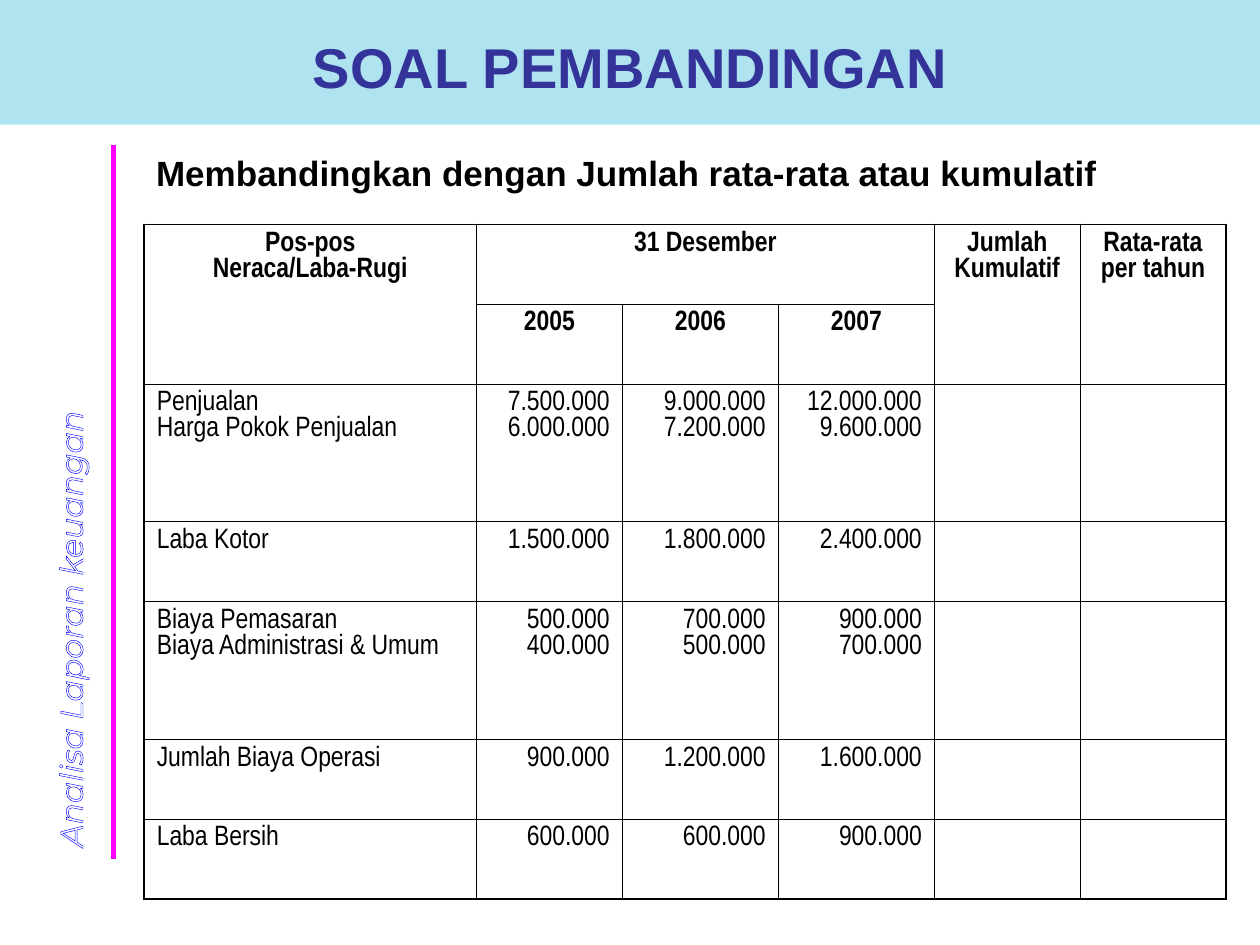
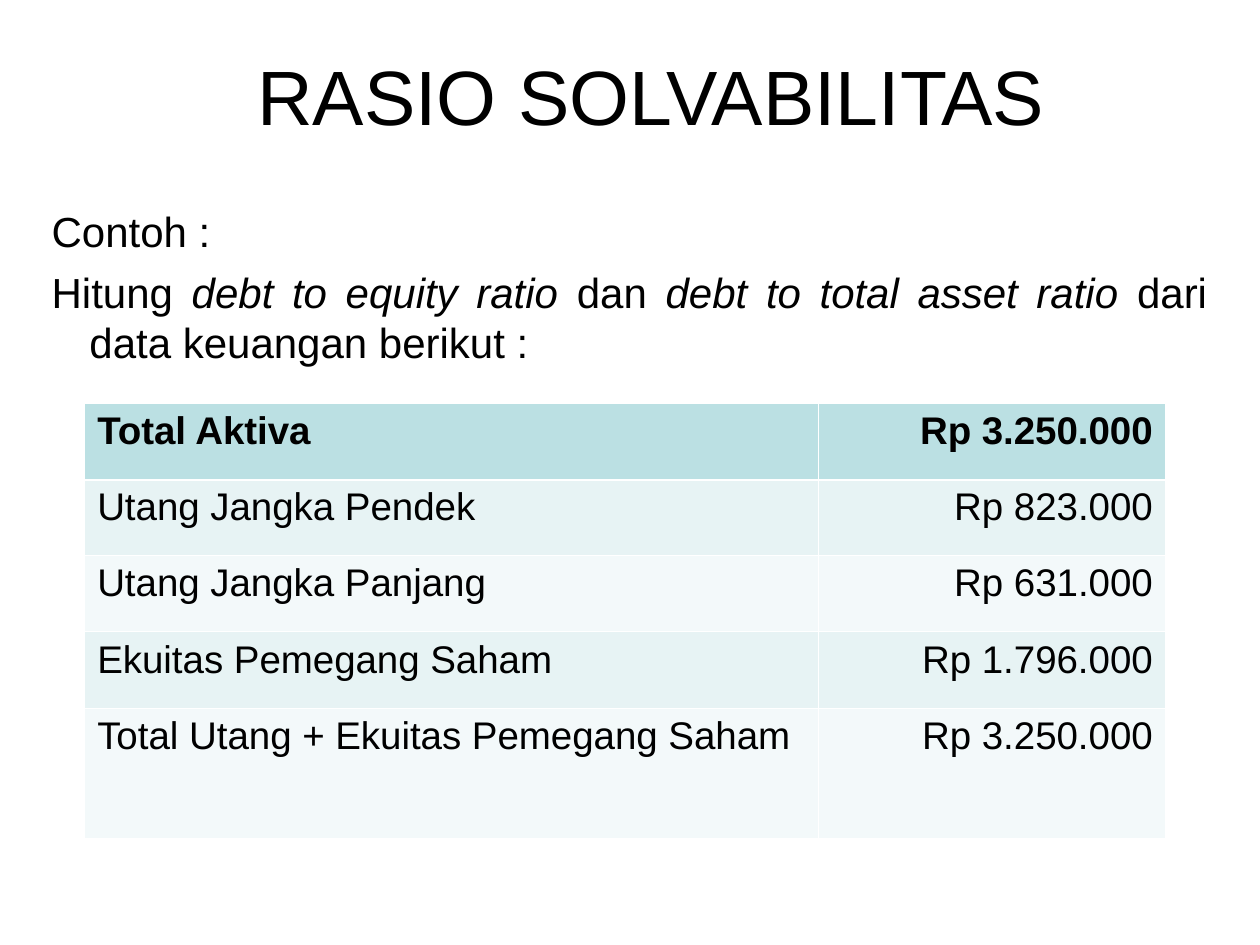
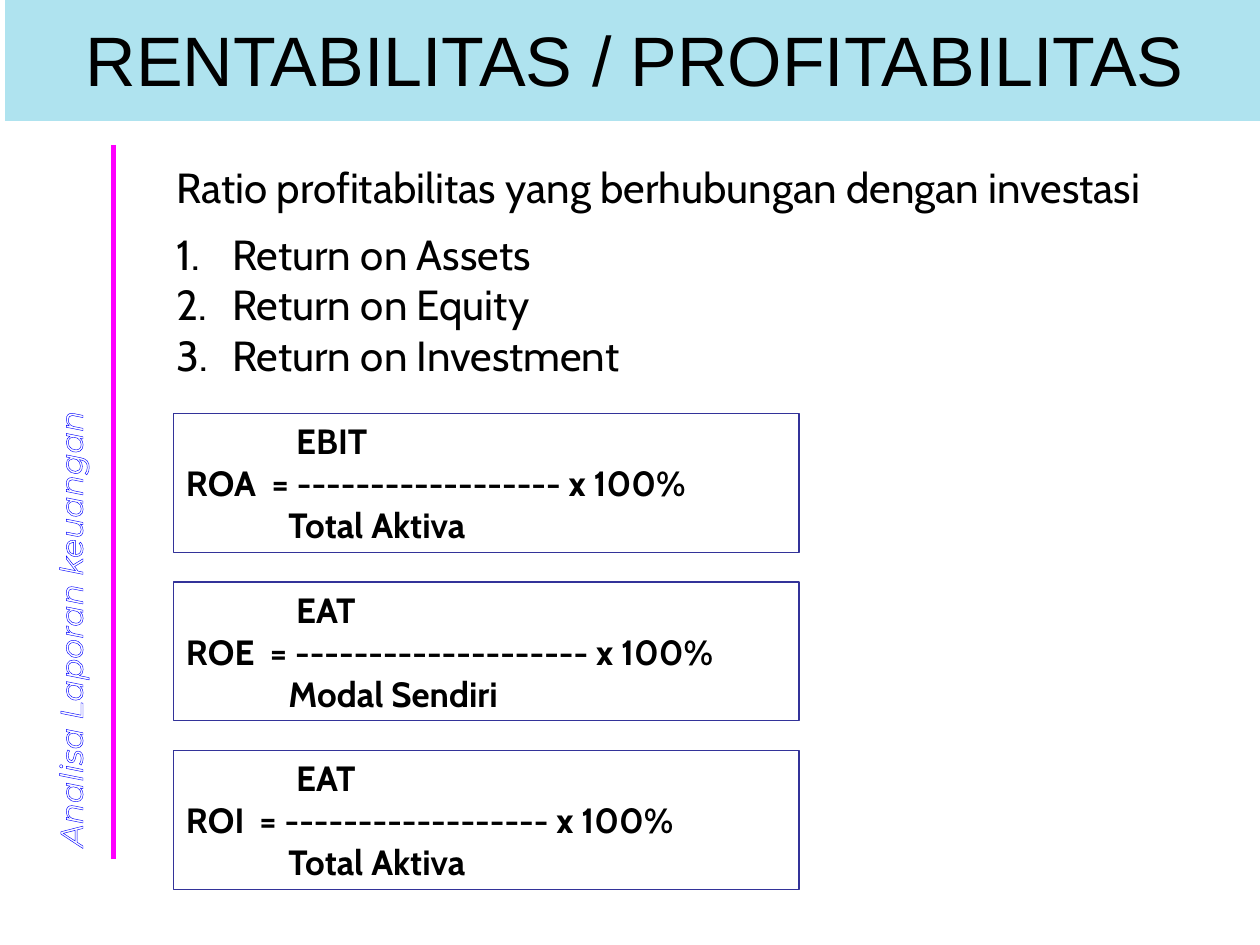
from lxml.etree import SubElement
from pptx import Presentation
from pptx.dml.color import RGBColor
from pptx.enum.shapes import MSO_CONNECTOR as Connector, MSO_SHAPE as Shape
from pptx.enum.text import MSO_ANCHOR as Anchor, MSO_AUTO_SIZE as AutoSize, PP_ALIGN as Align
from pptx.oxml.ns import qn
from pptx.util import Pt

BLACK = RGBColor(0x00, 0x00, 0x00)
WHITE = RGBColor(0xFF, 0xFF, 0xFF)
INDIGO = RGBColor(0x33, 0x33, 0x99)
BLUE = RGBColor(0x00, 0x00, 0xFF)
MAGENTA = RGBColor(0xFF, 0x00, 0xFF)
BAND_BLUE = RGBColor(0xAF, 0xE3, 0xEF)
HEADER_TEAL = RGBColor(0xBB, 0xE0, 0xE3)
ROW_TEAL = RGBColor(0xE7, 0xF3, 0xF4)
ROW_PALE = RGBColor(0xF3, 0xF9, 0xFA)

TITLE_ONLY, TITLE_AND_BODY = 5, 1
BAND_HEIGHT = 71.28


def write(frame, text, font="Arial", size=24, color=BLACK, bold=False, align=Align.LEFT,
          anchor=Anchor.TOP, wrap=True, before=0):
    frame.auto_size = AutoSize.NONE
    frame.word_wrap = wrap
    frame.vertical_anchor = anchor
    lines = text.split("\n")
    for index, line in enumerate(lines):
        para = frame.paragraphs[0] if index == 0 else frame.add_paragraph()
        para.alignment = align
        para.space_before = Pt(before)
        for position, part in enumerate(line.split("*")):
            if not part:
                continue
            span = para.add_run()
            span.text = part
            span.font.name = font
            span.font.size = Pt(size)
            span.font.color.rgb = color
            span.font.bold = bold
            span.font.italic = position % 2 == 1
    return frame.paragraphs


def indent(para, left, first, bullet=None, **bullet_format):
    properties = para._p.get_or_add_pPr()
    properties.set("marL", str(Pt(left)))
    properties.set("indent", str(Pt(first)))
    if bullet:
        SubElement(properties, qn(bullet), bullet_format)


def add_tab(para, position):
    tabs = SubElement(para._p.get_or_add_pPr(), qn("a:tabLst"))
    SubElement(tabs, qn("a:tab"), pos=str(Pt(position)), algn="l")


def add_line_format(parent, tag, color, width):
    line = SubElement(parent, qn(tag), w=str(Pt(width)))
    fill = SubElement(line, qn("a:solidFill"))
    SubElement(fill, qn("a:srgbClr"), val=str(color))
    return line


def set_borders(cell, color, left, right, top, bottom):
    properties = cell._tc.get_or_add_tcPr()
    for index, (side, width) in enumerate(zip("LRTB", (left, right, top, bottom))):
        properties.insert(index, add_line_format(properties, f"a:ln{side}", color, width))


class Builder:
    def __init__(self):
        self.deck = Presentation()
        self.deck.slide_width = Pt(720)
        self.deck.slide_height = Pt(540)
        self.page = None

    def new_page(self, layout):
        self.page = self.deck.slides.add_slide(self.deck.slide_layouts[layout])

    def place(self, shape, left, top, width, height):
        shape.left, shape.top, shape.width, shape.height = map(Pt, (left, top, width, height))

    def title(self, text, left, top, width, height, fill=None, **style):
        title = self.page.shapes.title
        self.place(title, left, top, width, height)
        if fill:
            title.fill.solid()
            title.fill.fore_color.rgb = fill
        write(title.text_frame, text, align=Align.CENTER, **style)
        self.page.shapes._spTree.append(title._element)

    def body(self, text, left, top, width, height, **style):
        body = self.page.placeholders[1]
        self.place(body, left, top, width, height)
        return write(body.text_frame, text, **style)

    def text(self, text, left, top, width, height, **style):
        box = self.page.shapes.add_textbox(*map(Pt, (left, top, width, height)))
        write(box.text_frame, text, **style)
        return box

    def rectangle(self, left, top, width, height, fill=None, line=None):
        box = self.page.shapes.add_shape(Shape.RECTANGLE, *map(Pt, (left, top, width, height)))
        box.shadow.inherit = False
        if fill:
            box.fill.solid()
            box.fill.fore_color.rgb = fill
        else:
            box.fill.background()
        if line:
            box.line.color.rgb = line
            box.line.width = Pt(0.75)
        else:
            box.line.fill.background()
        return box

    def side_label(self):
        label = self.text("*Analisa Laporan keuangan", -163.44, 267.84, 412.56, 33.84,
                          font="Montserrat", size=18, color=WHITE, wrap=False)
        label.rotation = 270
        properties = label.text_frame.paragraphs[0].runs[0].font._element
        properties.insert(0, add_line_format(properties, "a:ln", BLUE, 0.75))
        rule = self.page.shapes.add_connector(Connector.STRAIGHT, Pt(65), Pt(82.8), Pt(65), Pt(491))
        rule.line.color.rgb = MAGENTA
        rule.line.width = Pt(3)
        SubElement(rule._element.spPr, qn("a:effectLst"))

    def table(self, left, top, widths, heights):
        frame = self.page.shapes.add_table(len(heights), len(widths), Pt(left), Pt(top),
                                           Pt(sum(widths)), Pt(sum(heights)))
        table = frame.table
        table.first_row = table.horz_banding = False
        for column, width in zip(table.columns, widths):
            column.width = Pt(width)
        for row, height in zip(table.rows, heights):
            row.height = Pt(height)
        return table

    def comparison_table(self, rows):
        heights = [45.6, 45.6, 78.8, 45.6, 78.8, 45.6, 45.6]
        table = self.table(82.4, 128.2, [189.8, 83.4, 89.2, 89.2, 83.2, 83.4], heights)
        thin, thick = 0.45, 1.08
        last_row, last_column = len(heights) - 1, 5
        for r, row in enumerate(rows):
            for c, text in enumerate(row):
                cell = table.cell(r, c)
                cell.fill.background()
                header = r < 2
                align = Align.CENTER if header else Align.RIGHT if c else Align.LEFT
                write(cell.text_frame, text, font="Arial Narrow", size=16, bold=header, align=align)
                set_borders(cell, BLACK, thin if c else thick, thick if c == last_column else thin,
                            thin if r else thick, thick if r == last_row else thin)
        for column in (0, 4, 5):
            table.cell(0, column).merge(table.cell(1, column))
        table.cell(0, 1).merge(table.cell(0, 3))

    def balance_table(self, rows):
        table = self.table(48.4, 230.6, [419.4, 198.2], [43.5] * 4 + [74.8])
        thin, thick = 0.45, 1.47
        for r, row in enumerate(rows):
            fill = HEADER_TEAL if r == 0 else ROW_TEAL if r % 2 else ROW_PALE
            for c, text in enumerate(row):
                cell = table.cell(r, c)
                cell.fill.solid()
                cell.fill.fore_color.rgb = fill
                write(cell.text_frame, text, size=22, bold=r == 0,
                      align=Align.RIGHT if c else Align.LEFT)
                set_borders(cell, WHITE, thin, thin, thick if r == 1 else thin,
                            thick if r == 0 else thin)

    def formula(self, top, name, equals_at, dashes, numerator, denominator):
        box = self.rectangle(99.2, top, 357.4, 79.4, line=INDIGO)
        text = f"{numerator}\n{name}\t= {'-' * dashes} x 100%\n{denominator}"
        above, middle, below = write(box.text_frame, text, font="Cabin", size=20, bold=True)
        indent(above, 63, 0)
        add_tab(middle, equals_at)
        indent(below, 58.5, 0)


def comparison_page(builder):
    builder.new_page(TITLE_ONLY)
    builder.rectangle(0, 0, 720, BAND_HEIGHT, fill=BAND_BLUE)
    builder.side_label()
    builder.text("Membandingkan dengan Jumlah rata-rata atau kumulatif",
                 82.08, 82.8, 555.84, 31.68, size=20, bold=True)
    builder.comparison_table([
        ("Pos-pos\nNeraca/Laba-Rugi", "31 Desember", "", "", "Jumlah Kumulatif", "Rata-rata per tahun"),
        ("", "2005", "2006", "2007", "", ""),
        ("Penjualan\nHarga Pokok Penjualan", "7.500.000\n6.000.000", "9.000.000\n7.200.000",
         "12.000.000\n9.600.000", "", ""),
        ("Laba Kotor", "1.500.000", "1.800.000", "2.400.000", "", ""),
        ("Biaya Pemasaran\nBiaya Administrasi & Umum", "500.000\n400.000", "700.000\n500.000",
         "900.000\n700.000", "", ""),
        ("Jumlah Biaya Operasi", "900.000", "1.200.000", "1.600.000", "", ""),
        ("Laba Bersih", "600.000", "600.000", "900.000", "", ""),
    ])
    builder.title("SOAL PEMBANDINGAN", 0, 15.12, 720, 46.08, size=32, color=INDIGO, bold=True)


def solvency_page(builder):
    builder.new_page(TITLE_AND_BODY)
    paras = builder.body(
        "Contoh :\nHitung *debt to equity ratio *dan *debt to total asset ratio *"
        "dari data keuangan berikut :", 22.32, 113.76, 674.64, 383.04, before=6)
    for para in paras:
        indent(para, 21.6, -21.6, "a:buNone")
    paras[1].alignment = Align.JUSTIFY
    builder.balance_table([
        ("Total Aktiva", "Rp 3.250.000"),
        ("Utang Jangka Pendek", "Rp 823.000"),
        ("Utang Jangka Panjang", "Rp 631.000"),
        ("Ekuitas Pemegang Saham", "Rp 1.796.000"),
        ("Total Utang + Ekuitas Pemegang Saham", "Rp 3.250.000"),
    ])
    builder.title("RASIO SOLVABILITAS", 48.24, 9.36, 648, 90, size=44, anchor=Anchor.MIDDLE)


def profitability_page(builder):
    builder.new_page(TITLE_AND_BODY)
    builder.side_label()
    intro, *ratios = builder.body(
        "Ratio profitabilitas yang berhubungan dengan investasi\n"
        "Return on Assets\nReturn on Equity\nReturn on Investment",
        93.6, 88.56, 601.2, 161.28, font="Cabin")
    indent(intro, 27.36, -27.36, "a:buNone")
    ratios[0].space_before = Pt(9.6)
    for para in ratios:
        indent(para, 32, -32, "a:buAutoNum", type="arabicPeriod")
    formulas = [
        ("ROA", 49, 18, "EBIT", "Total Aktiva"),
        ("ROE", 48, 20, "EAT", "Modal Sendiri"),
        ("ROI", 42, 18, "EAT", "Total Aktiva"),
    ]
    for index, formula in enumerate(formulas):
        builder.formula(236.2 + index * 96.3, *formula)
    builder.title("RENTABILITAS / PROFITABILITAS", 2.88, -2.16, 720, BAND_HEIGHT,
                  fill=BAND_BLUE, size=40, anchor=Anchor.MIDDLE, wrap=False)


def main():
    builder = Builder()
    comparison_page(builder)
    solvency_page(builder)
    profitability_page(builder)
    builder.deck.save("out.pptx")


if __name__ == "__main__":
    main()
